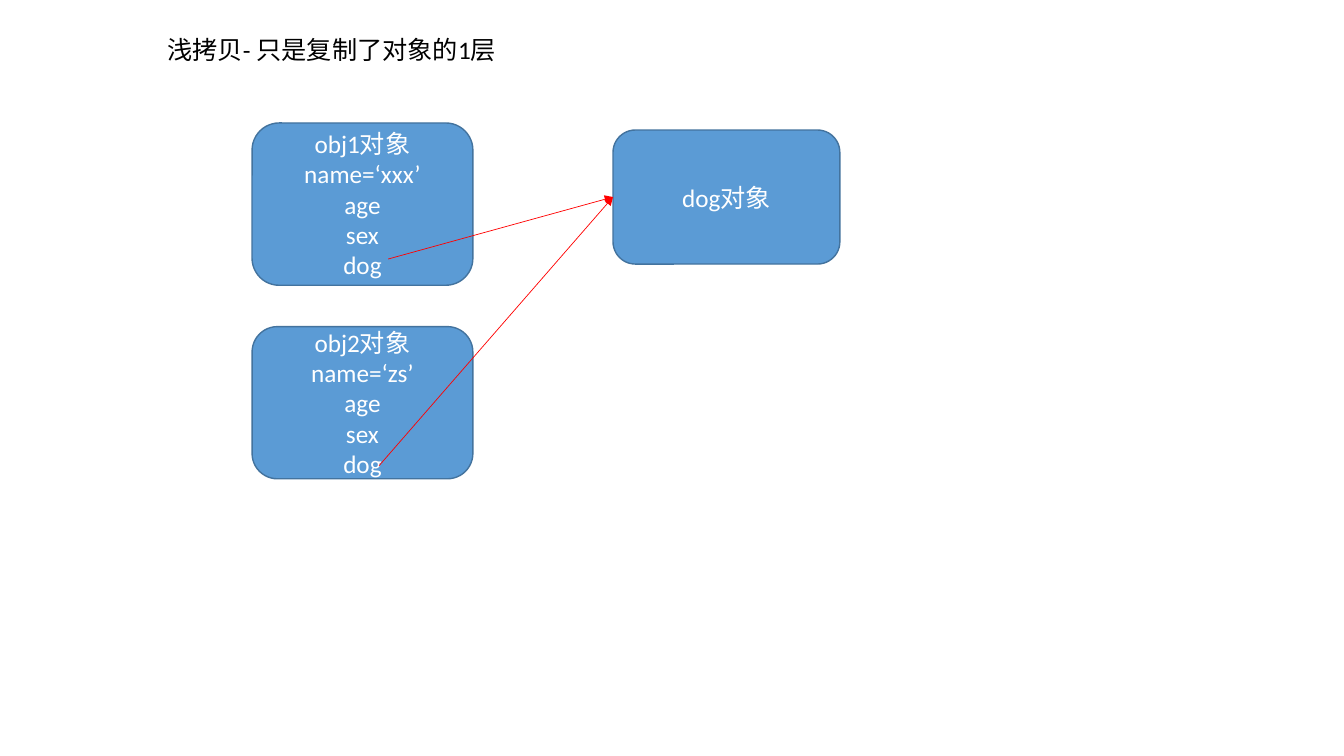
from lxml.etree import SubElement
from pptx import Presentation
from pptx.dml.color import RGBColor
from pptx.enum.shapes import MSO_CONNECTOR, MSO_SHAPE
from pptx.enum.text import MSO_ANCHOR, MSO_AUTO_SIZE, PP_ALIGN
from pptx.oxml.ns import qn
from pptx.util import Inches, Pt

BLUE = RGBColor(0x5B, 0x9B, 0xD5)
DARK_BLUE = RGBColor(0x43, 0x73, 0x9E)
RED = RGBColor(0xFF, 0x00, 0x00)
WHITE = RGBColor(0xFF, 0xFF, 0xFF)
BLACK = RGBColor(0x00, 0x00, 0x00)

FONT = {"name": "Calibri", "size": Pt(18), "bold": False}
HEADING_FRAME = {
    "word_wrap": True,
    "auto_size": MSO_AUTO_SIZE.SHAPE_TO_FIT_TEXT,
    "vertical_anchor": MSO_ANCHOR.TOP,
    "margin_left": Inches(0.1),
    "margin_right": Inches(0.1),
    "margin_top": Inches(0.05),
    "margin_bottom": Inches(0.05),
}
OBJECT_FRAME = {"word_wrap": True, "vertical_anchor": MSO_ANCHOR.MIDDLE}


def apply(target, values):
    for attribute, value in values.items():
        setattr(target, attribute, value)


def write_lines(frame, lines, color, alignment):
    for index, line in enumerate(lines):
        paragraph = frame.add_paragraph() if index else frame.paragraphs[0]
        paragraph.alignment = alignment
        run = paragraph.add_run()
        run.text = line
        apply(run.font, FONT)
        run.font.color.rgb = color


def place_heading(slide, box, text):
    heading = slide.shapes.title
    apply(heading, dict(zip(("left", "top", "width", "height"), map(Inches, box))))
    apply(heading.text_frame, HEADING_FRAME)
    write_lines(heading.text_frame, [text], BLACK, PP_ALIGN.LEFT)


def add_object(slide, box, lines):
    card = slide.shapes.add_shape(MSO_SHAPE.ROUNDED_RECTANGLE, *map(Inches, box))
    card.shadow.inherit = False
    card.fill.solid()
    card.fill.fore_color.rgb = BLUE
    card.line.color.rgb = DARK_BLUE
    card.line.width = Pt(1)
    apply(card.text_frame, OBJECT_FRAME)
    write_lines(card.text_frame, lines, WHITE, PP_ALIGN.CENTER)


def add_reference(slide, start, end):
    arrow = slide.shapes.add_connector(
        MSO_CONNECTOR.STRAIGHT, *map(Inches, (*start, *end)))
    arrow.line.color.rgb = RED
    arrow.line.width = Pt(0.5)
    SubElement(arrow.line._get_or_add_ln(), qn("a:tailEnd"), type="triangle")
    SubElement(arrow._element.spPr, qn("a:effectLst"))


def build_shallow_copy_slide(deck):
    slide = deck.slides.add_slide(deck.slide_layouts[5])  # title only
    place_heading(slide, (1.56, 0.29, 3.49, 0.4), "浅拷贝- 只是复制了对象的1层")

    # The two copies, then the nested object they share
    fields = ["age", "sex", "dog"]
    dog_box = (6.08, 1.29, 2.25, 1.33)
    add_object(slide, (2.5, 1.22, 2.19, 1.61), ["obj1对象", "name=‘xxx’", *fields])
    add_object(slide, (2.5, 3.24, 2.19, 1.51), ["obj2对象", "name=‘zs’", *fields])
    add_object(slide, dog_box, ["dog对象"])

    # Both dog fields refer to the left edge of the shared object
    left, top, _, height = dog_box
    for dog_field in ((3.85, 2.57), (3.76, 4.62)):
        add_reference(slide, dog_field, (left, top + height / 2))


deck = Presentation()
deck.slide_width = Inches(13.33)
deck.slide_height = Inches(7.5)
build_shallow_copy_slide(deck)
deck.save("out.pptx")
